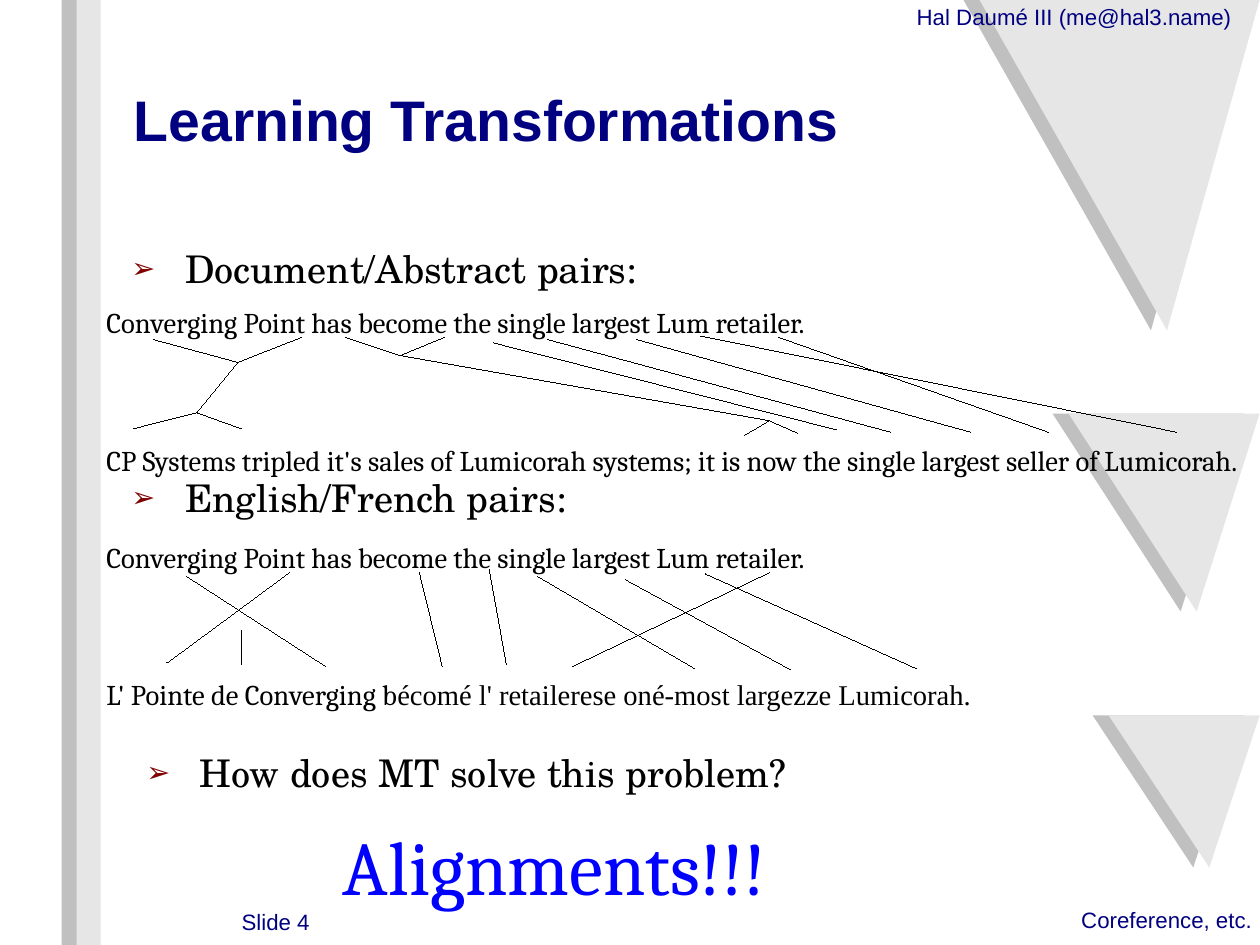
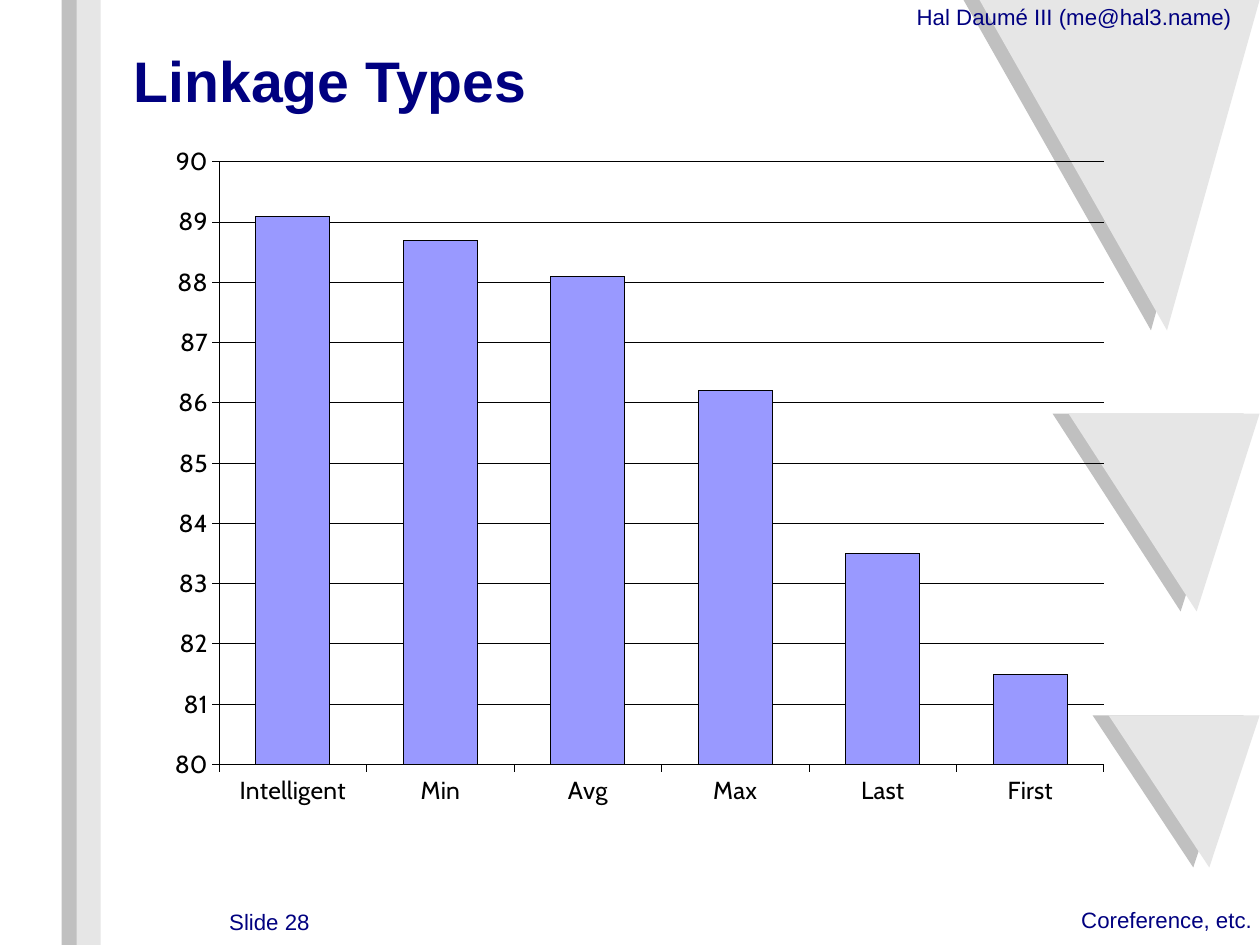
import dataclasses

import pptx
import pptx.chart.data
import pptx.dml.color
import pptx.enum.chart
import pptx.enum.shapes
import pptx.enum.text
import pptx.oxml
import pptx.oxml.ns
import pptx.util

Inches = pptx.util.Inches
Pt = pptx.util.Pt
ALIGN = pptx.enum.text.PP_ALIGN


@dataclasses.dataclass(frozen=True)
class Theme:
    """Colours, fonts and type sizes of the deck."""
    navy: str = "000080"
    black: str = "000000"
    blue: str = "0000FF"
    maroon: str = "800000"
    bar: str = "9999FF"
    dark: str = "C0C0C0"
    light: str = "E6E6E6"
    sans: str = "Arial"
    serif: str = "Cambria"
    times: str = "Times New Roman"
    school: str = "TeX Gyre Schola"
    label: str = "Cabin"
    small: float = 14
    tick: float = 15.5
    text: float = 18
    point: float = 24
    title: float = 36
    shout: float = 48
    hair: float = 0.01


THEME = Theme()
WIDTH, HEIGHT = pptx.util.Cm(28), pptx.util.Cm(21)
SHIFT = 0.14
WEDGES = [
    ((8.43, 0), (10.07, 2.89), (10.88, 0)),
    ((9.21, 3.62), (10.33, 5.35), (10.88, 3.62)),
    ((9.56, 6.26), (10.44, 7.59), (10.88, 6.26)),
]
ABSTRACT = [
    [("Converging Point has become the single largest Lum retailer.", THEME.serif)],
    [("CP Systems tripled it's sales of Lumicorah systems; it is now "
      "the single largest seller of Lumicorah.", THEME.serif)],
]
FRENCH = [
    ABSTRACT[0],
    [("L' Pointe de Converging b", THEME.serif),
     ("écomé l' retailerese oné-most largezze Lumicorah.", THEME.times)],
]
NAME, VERB, CLAUSE, FIRM = (1.15, 0.5), (2.57, 0.44), (5.8, 1.01), (0.79, 0.94)
MERGED = [
    ((0.41, 0.3), NAME), ((1.71, 0.28), NAME), (NAME, FIRM),
    ((0.24, 1.08), FIRM), ((1.18, 1.08), FIRM),
    ((2.09, 0.28), VERB), ((2.96, 0.28), VERB), (VERB, CLAUSE),
    ((5.58, 1.14), CLAUSE), ((6.05, 1.12), CLAUSE),
    ((3.39, 0.33), (6.39, 1.09)), ((3.86, 0.3), (6.86, 1.11)),
    ((4.64, 0.3), (7.56, 1.11)), ((5.2, 0.27), (9.36, 1.11)),
    ((5.88, 0.28), (8.24, 1.11)),
]
CROSSED = [
    ((1.6, 0.29), (0.53, 1.08)), ((1.18, 0.8), (1.18, 1.09)),
    ((0.7, 0.32), (1.92, 1.11)), ((2.74, 0.29), (2.94, 1.11)),
    ((3.35, 0.26), (3.5, 1.09)), ((3.77, 0.32), (5.15, 1.13)),
    ((4.54, 0.35), (5.99, 1.14)), ((5.24, 0.3), (7.09, 1.13)),
    ((5.8, 0.29), (4.08, 1.11)),
]
SCORES = {"Intelligent": 89.1, "Min": 88.7, "Avg": 88.1,
          "Max": 86.2, "Last": 83.5, "First": 81.5}


def rgb(code):
    """Turn a hex code into a colour."""
    return pptx.dml.color.RGBColor.from_string(code)


def style(font, name, size, color, bold=False):
    """Set the face, size and colour of a font."""
    font.name, font.size, font.bold = name, Pt(size), bold
    font.color.rgb = rgb(color)


def clear(frame):
    """Remove the margins of a text frame and let it wrap."""
    frame.margin_left = frame.margin_right = 0
    frame.margin_top = frame.margin_bottom = 0
    frame.word_wrap = True
    frame.auto_size = pptx.enum.text.MSO_AUTO_SIZE.NONE


def paint(shape, color):
    """Give a shape a plain fill."""
    shape.shadow.inherit = False
    shape.fill.solid()
    shape.fill.fore_color.rgb = rgb(color)
    shape.line.fill.background()


def hair(line):
    """Make a line a black hairline."""
    line.color.rgb = rgb(THEME.black)
    line.width = Pt(THEME.hair)


def write(slide, box, text, name, size, color, align=ALIGN.LEFT):
    """Add a box with one styled line of text."""
    shape = slide.shapes.add_textbox(*map(Inches, box))
    clear(shape.text_frame)
    shape.text_frame.text = text
    para = shape.text_frame.paragraphs[0]
    para.alignment = align
    style(para.runs[0].font, name, size, color)
    return shape


def point(slide, box, text):
    """Add a line with an arrow bullet."""
    shape = write(slide, box, text, THEME.school, THEME.point, THEME.black)
    props = shape.text_frame.paragraphs[0]._p.get_or_add_pPr()
    props.set("marL", str(Inches(0.55)))
    props.set("indent", str(Inches(-0.47)))
    space = pptx.oxml.ns.nsdecls("a")
    for part in (
        f'<a:buClr {space}><a:srgbClr val="{THEME.maroon}"/></a:buClr>',
        f'<a:buSzPct {space} val="75000"/>',
        f'<a:buFont {space} typeface="{THEME.sans}"/>',
        f'<a:buChar {space} char="➢"/>',
    ):
        props.append(pptx.oxml.parse_xml(part))


def link(slide, start, end):
    """Draw a hairline between two points."""
    line = slide.shapes.add_connector(
        pptx.enum.shapes.MSO_CONNECTOR.STRAIGHT, *map(Inches, start + end))
    hair(line.line)
    line.element.spPr.append(pptx.oxml.parse_xml(
        f'<a:effectLst {pptx.oxml.ns.nsdecls("a")}/>'))


def align(slide, box, lines, links):
    """Place a pair of sentences and the links between their words."""
    left, top = box[:2]
    shape = slide.shapes.add_textbox(*map(Inches, box))
    frame = shape.text_frame
    clear(frame)
    frame.add_paragraph().space_before = Pt(65)
    for para, parts in zip(frame.paragraphs, lines):
        for text, name in parts:
            run = para.add_run()
            run.text = text
            style(run.font, name, THEME.text, THEME.black)
    for start, end in links:
        link(slide, (left + start[0], top + start[1]),
             (left + end[0], top + end[1]))


def dress(slide):
    """Build the shared bands, wedges and labels and put them in the layout."""
    layout = slide.slide_layout
    for holder in list(layout.placeholders):
        if holder.placeholder_format.idx:
            layout.shapes.element.remove(holder.element)
    parts = []
    for shift, color in ((0, THEME.dark), (SHIFT, THEME.light)):
        for wedge in WEDGES:
            spots = [(Inches(x + shift), Inches(y)) for x, y in wedge]
            pen = slide.shapes.build_freeform(*spots[0])
            pen.add_line_segments(spots[1:], close=True)
            parts.append(pen.convert_to_shape())
            paint(parts[-1], color)
    for left, color in ((0.54, THEME.dark), (0.67, THEME.light)):
        parts.append(slide.shapes.add_shape(
            pptx.enum.shapes.MSO_SHAPE.RECTANGLE,
            Inches(left), 0, Inches(0.21), HEIGHT))
        paint(parts[-1], color)
    for box, text in (
        ((9.46, 7.93, 1.56, 0.25), "Coreference, etc."),
        ((8.02, 0.03, 2.87, 0.25), "Hal Daumé III (me@hal3.name)"),
    ):
        parts.append(write(slide, box, text, THEME.sans, THEME.small, THEME.navy))
    for part in parts:
        layout.shapes.element.append(part.element)


def start(deck, box, title, number):
    """Add a slide with its title and number."""
    slide = deck.slides.add_slide(deck.slide_layouts[5])
    head = slide.shapes.title
    head.left, head.top, head.width, head.height = map(Inches, box)
    frame = head.text_frame
    clear(frame)
    frame.vertical_anchor = pptx.enum.text.MSO_ANCHOR.MIDDLE
    frame.text = title
    para = frame.paragraphs[0]
    para.alignment = ALIGN.LEFT
    style(para.runs[0].font, THEME.sans, THEME.title, THEME.navy, True)
    write(slide, (0.94, 7.95, 1.77, 0.25), f"Slide {number}",
          THEME.sans, THEME.small, THEME.navy, ALIGN.RIGHT)
    return slide


def plot(slide, box):
    """Add the column chart of scores."""
    data = pptx.chart.data.CategoryChartData(number_format="General")
    data.categories = list(SCORES)
    data.add_series("Series 1", list(SCORES.values()))
    kind = pptx.enum.chart.XL_CHART_TYPE.COLUMN_CLUSTERED
    chart = slide.shapes.add_chart(kind, *map(Inches, box), data).chart
    chart.has_legend = chart.has_title = False
    style(chart.font, THEME.sans, 10, THEME.black)
    bars = chart.plots[0]
    bars.gap_width, bars.vary_by_categories = 100, False
    series = bars.series[0]
    series.format.fill.solid()
    series.format.fill.fore_color.rgb = rgb(THEME.bar)
    hair(series.format.line)
    for axis in (chart.category_axis, chart.value_axis):
        style(axis.tick_labels.font, THEME.label, THEME.tick, THEME.black)
        axis.major_tick_mark = pptx.enum.chart.XL_TICK_MARK.OUTSIDE
        axis.minor_tick_mark = pptx.enum.chart.XL_TICK_MARK.NONE
        hair(axis.format.line)
    scale = chart.value_axis
    scale.minimum_scale, scale.maximum_scale, scale.major_unit = 80, 90, 1
    scale.has_major_gridlines = True
    hair(scale.major_gridlines.format.line)
    frame(chart, (0.02, 0.04, 0.96, 0.94))


def frame(chart, area):
    """Fix the plot area and leave the chart without a background."""
    space = pptx.oxml.ns.nsdecls("c", "a")
    bare = f"<c:spPr {space}><a:noFill/><a:ln><a:noFill/></a:ln></c:spPr>"
    sides = "".join(f'<c:{key} val="{size}"/>' for key, size in zip("xywh", area))
    layout = pptx.oxml.parse_xml(
        f'<c:layout {space}><c:manualLayout><c:layoutTarget val="outer"/>'
        f'<c:xMode val="edge"/><c:yMode val="edge"/>{sides}'
        "</c:manualLayout></c:layout>")
    root = chart.element.find(pptx.oxml.ns.qn("c:chart"))
    inner = root.find(pptx.oxml.ns.qn("c:plotArea"))
    old = inner.find(pptx.oxml.ns.qn("c:layout"))
    if old is not None:
        inner.remove(old)
    inner.insert(0, layout)
    inner.append(pptx.oxml.parse_xml(bare))
    root.addnext(pptx.oxml.parse_xml(bare))


def main():
    """Build the deck and save it."""
    deck = pptx.Presentation()
    deck.slide_width, deck.slide_height = WIDTH, HEIGHT

    slide = start(deck, (1.17, 0.24, 8.02, 1.59), "Learning Transformations", 4)
    dress(slide)
    point(slide, (1.07, 2.15, 7.96, 0.59), "Document/Abstract pairs:")
    align(slide, (0.93, 2.67, 10.09, 1.4), ABSTRACT, MERGED)
    point(slide, (1.07, 4.15, 7.96, 0.59), "English/French pairs:")
    align(slide, (0.93, 4.72, 10.09, 1.4), FRENCH, CROSSED)
    point(slide, (1.2, 6.56, 7.96, 0.59), "How does MT solve this problem?")
    write(slide, (3, 7.17, 4.49, 0.75), "Alignments!!!",
          THEME.serif, THEME.shout, THEME.blue)

    slide = start(deck, (1.17, 0.29, 8.89, 0.81), "Linkage Types", 28)
    plot(slide, (1.36, 1.04, 8.47, 6.13))
    deck.save("out.pptx")


if __name__ == "__main__":
    main()
